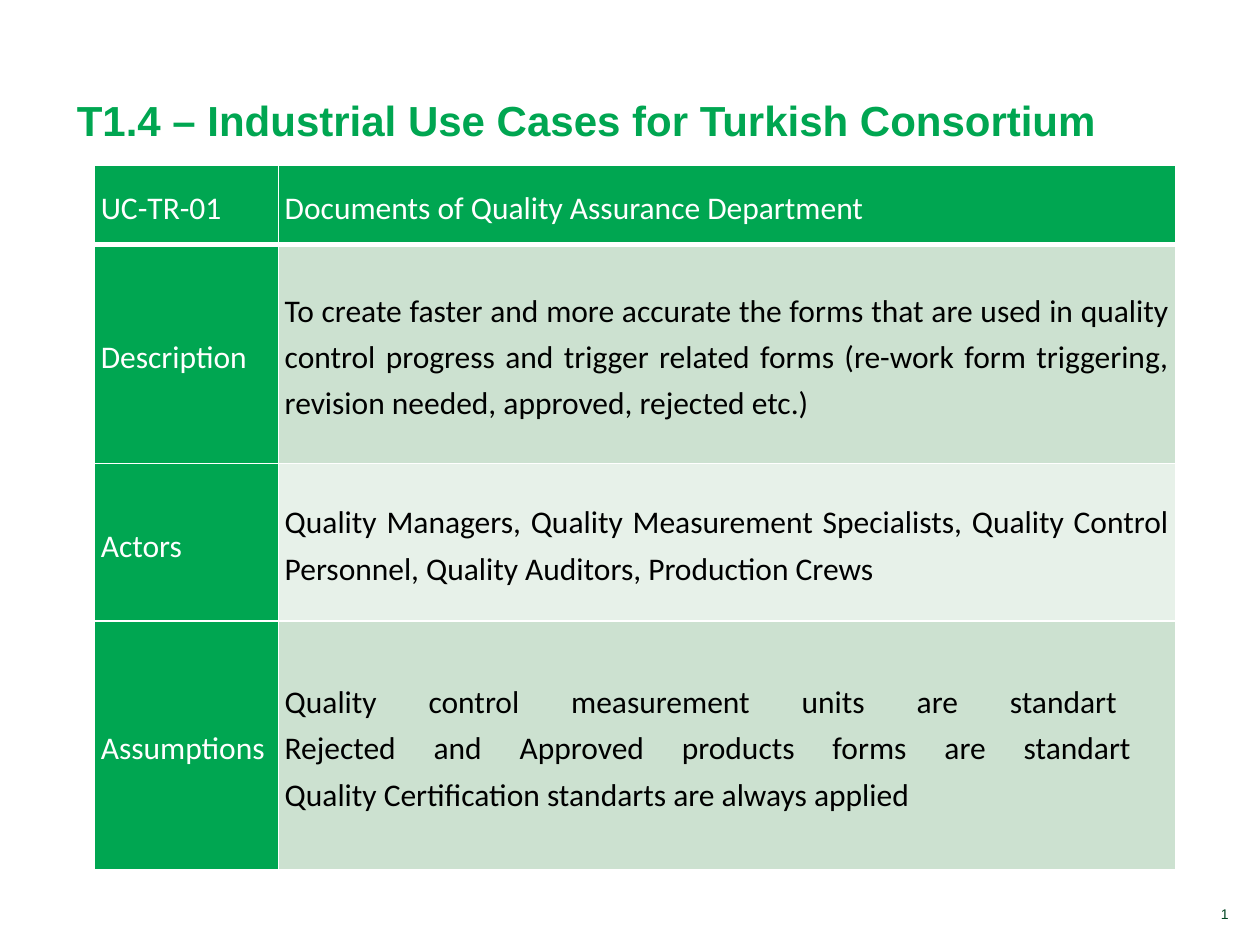
from dataclasses import dataclass

from lxml import etree
from pptx import Presentation
from pptx.dml.color import RGBColor
from pptx.enum.text import MSO_ANCHOR, MSO_AUTO_SIZE, PP_ALIGN
from pptx.oxml.ns import qn
from pptx.slide import Slide
from pptx.table import _Cell
from pptx.text.text import TextFrame
from pptx.util import Inches, Pt

GREEN = RGBColor(0x00, 0xA6, 0x51)
DARK_GREEN = RGBColor(0x00, 0x46, 0x21)
MEDIUM_TINT = RGBColor(0xCC, 0xE1, 0xD0)
LIGHT_TINT = RGBColor(0xE7, 0xF1, 0xE9)
WHITE = RGBColor(0xFF, 0xFF, 0xFF)
BLACK = RGBColor(0x00, 0x00, 0x00)
MIDDLE, BOTTOM = MSO_ANCHOR.MIDDLE, MSO_ANCHOR.BOTTOM
LEFT, RIGHT, JUSTIFY = PP_ALIGN.LEFT, PP_ALIGN.RIGHT, PP_ALIGN.JUSTIFY
NO_AUTOFIT = MSO_AUTO_SIZE.NONE
TITLE_ONLY = 5
COLUMN_WIDTHS = (1.46, 7.12)


@dataclass
class UseCaseRow:
    label: str
    detail: str
    height: float
    detail_fill: RGBColor
    detail_color: RGBColor = BLACK


ROWS = [
    UseCaseRow("UC-TR-01", "Documents of Quality Assurance Department", 0.63, GREEN, WHITE),
    UseCaseRow(
        "Description",
        "To create faster and more accurate the forms that are used in quality control "
        "progress and trigger related forms (re-work form triggering, revision needed, "
        "approved, rejected etc.)",
        1.74,
        MEDIUM_TINT,
    ),
    UseCaseRow(
        "Actors",
        "Quality Managers, Quality Measurement Specialists, Quality Control Personnel, "
        "Quality Auditors, Production Crews",
        1.25,
        LIGHT_TINT,
    ),
    UseCaseRow(
        "Assumptions",
        "Quality control measurement units are standart \v"
        "Rejected and Approved products forms are standart \v"
        "Quality Certification standarts are always applied",
        1.97,
        MEDIUM_TINT,
    ),
]


def write_text(frame: TextFrame, text: str, font_name: str, size: float,
               color: RGBColor, alignment: PP_ALIGN, bold: bool = False) -> None:
    frame.text = text
    frame.word_wrap = True
    paragraph = frame.paragraphs[0]
    paragraph.alignment = alignment
    for span in paragraph.runs:
        span.font.name = font_name
        span.font.size = Pt(size)
        span.font.bold = bold
        span.font.color.rgb = color


def set_borders(cell: _Cell, top: float, bottom: float) -> None:
    properties = cell._tc.get_or_add_tcPr()
    for side, width in (("L", 1), ("R", 1), ("T", top), ("B", bottom)):
        line = etree.SubElement(properties, qn(f"a:ln{side}"), w=str(Pt(width)))
        fill = etree.SubElement(line, qn("a:solidFill"))
        etree.SubElement(fill, qn("a:srgbClr"), val=str(WHITE))


def fill_cell(cell: _Cell, text: str, fill: RGBColor, color: RGBColor,
              top: float, bottom: float) -> None:
    set_borders(cell, top, bottom)
    cell.fill.solid()
    cell.fill.fore_color.rgb = fill
    cell.vertical_anchor = MIDDLE
    cell.margin_left = cell.margin_right = Inches(0.05)
    cell.margin_top = cell.margin_bottom = 0
    write_text(cell.text_frame, text, "Calibri", 18, color, JUSTIFY)
    cell.text_frame.paragraphs[0].line_spacing = 1.2


def add_title(page: Slide) -> None:
    title = page.shapes.title
    title.left, title.top = Inches(0.51), Inches(0.29)
    title.width, title.height = Inches(8.5), Inches(0.91)
    frame = title.text_frame
    frame.auto_size = NO_AUTOFIT
    frame.vertical_anchor = BOTTOM
    write_text(frame, "T1.4 – Industrial Use Cases for Turkish Consortium",
               "Arial", 24, GREEN, LEFT, bold=True)


def add_use_case_table(page: Slide) -> None:
    table = page.shapes.add_table(
        len(ROWS), len(COLUMN_WIDTHS), Inches(0.75), Inches(1.31),
        Inches(sum(COLUMN_WIDTHS)), Inches(sum(row.height for row in ROWS)),
    ).table
    for column, width in zip(table.columns, COLUMN_WIDTHS):
        column.width = Inches(width)
    for index, row in enumerate(ROWS):
        table.rows[index].height = Inches(row.height)
        top = 3 if index == 1 else 1
        bottom = 3 if index == 0 else 1
        fill_cell(table.cell(index, 0), row.label, GREEN, WHITE, top, bottom)
        fill_cell(table.cell(index, 1), row.detail, row.detail_fill,
                  row.detail_color, top, bottom)


def add_page_number(page: Slide) -> None:
    box = page.shapes.add_textbox(Inches(8.54), Inches(7.14), Inches(1.31), Inches(0.23))
    box.text_frame.vertical_anchor = BOTTOM
    write_text(box.text_frame, "1", "Arial", 8, DARK_GREEN, RIGHT)


def main() -> None:
    deck = Presentation()
    deck.slide_width, deck.slide_height = Inches(10), Inches(7.5)
    page = deck.slides.add_slide(deck.slide_layouts[TITLE_ONLY])
    add_title(page)
    add_use_case_table(page)
    add_page_number(page)
    deck.save("out.pptx")


if __name__ == "__main__":
    main()
